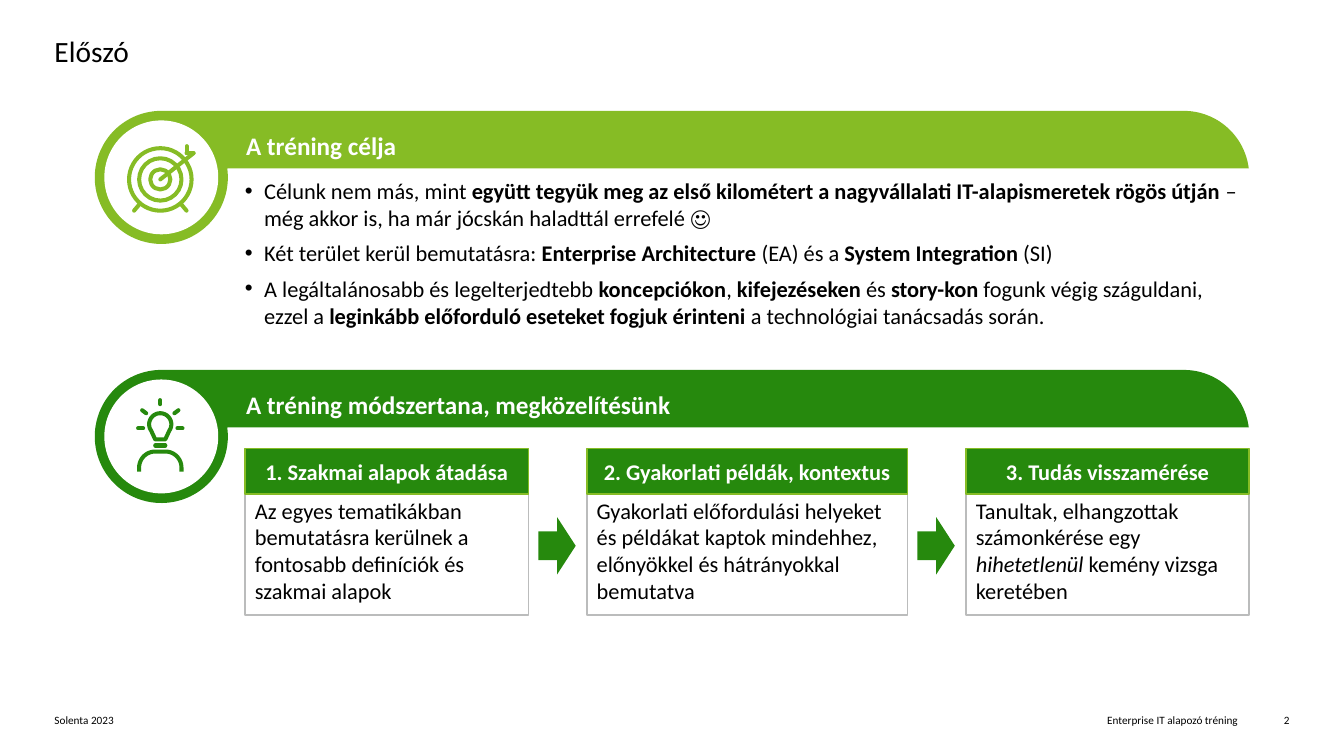
import math

from lxml import etree
from pptx import Presentation
from pptx import util as u
from pptx.dml.color import RGBColor
from pptx.enum import shapes, text
from pptx.oxml import ns

FONT = "Calibri"
BLACK = RGBColor(0x00, 0x00, 0x00)
WHITE = RGBColor(0xFF, 0xFF, 0xFF)
LIME = RGBColor(0x86, 0xBC, 0x25)
GREEN = RGBColor(0x26, 0x89, 0x0D)
GREY = RGBColor(0xBB, 0xBC, 0xBC)
STROKE = 2.9
LEFT, MIDDLE, RIGHT = text.PP_ALIGN.LEFT, text.PP_ALIGN.CENTER, text.PP_ALIGN.RIGHT
TOP, CENTER = text.MSO_ANCHOR.TOP, text.MSO_ANCHOR.MIDDLE

GOALS = [
    [("Célunk nem más, mint ", ""),
     ("együtt tegyük meg az első kilométert a nagyvállalati IT-alapismeretek rögös útján ", "b"),
     ("– még akkor is, ha már jócskán haladttál errefelé ☺", "")],
    [("Két terület kerül bemutatásra: ", ""), ("Enterprise Architecture ", "b"),
     ("(EA) és a ", ""), ("System Integration ", "b"), ("(SI)", "")],
    [("A legáltalánosabb és legelterjedtebb ", ""), ("koncepciókon", "b"), (", ", ""),
     ("kifejezéseken", "b"), (" és ", ""), ("story-kon", "b"),
     (" fogunk végig száguldani, ezzel a ", ""),
     ("leginkább előforduló eseteket fogjuk érinteni ", "b"),
     ("a technológiai tanácsadás során.", "")],
]
STEPS = [
    (2.81, "1. Szakmai alapok átadása",
     [("Az egyes tematikákban bemutatásra kerülnek a fontosabb definíciók és szakmai alapok", "")]),
    (3.18, "2. Gyakorlati példák, kontextus",
     [("Gyakorlati előfordulási helyeket és példákat kaptok mindehhez, "
       "előnyökkel és hátrányokkal bemutatva", "")]),
    (2.81, "3. Tudás visszamérése",
     [("Tanultak, elhangzottak számonkérése egy ", ""), ("hihetetlenül", "i"),
      (" kemény vizsga keretében", "")]),
]


def place(sp, *box):
    sp.left, sp.top, sp.width, sp.height = map(u.Inches, box)


def frame(sp, insets=(0, 0, 0, 0), anchor=TOP):
    tf = sp.text_frame
    tf.word_wrap = True
    tf.auto_size = text.MSO_AUTO_SIZE.NONE
    tf.vertical_anchor = anchor
    tf.margin_left, tf.margin_top, tf.margin_right, tf.margin_bottom = map(u.Inches, insets)
    return tf


def add_runs(p, runs, size, color=BLACK, align=LEFT):
    p.alignment = align
    for words, style in runs:
        r = p.add_run()
        r.text = words
        r.font.name = FONT
        r.font.size = u.Pt(size)
        r.font.color.rgb = color
        r.font.bold = style == "b"
        r.font.italic = style == "i"


def paint(sp, fill=None, line=None, width=1):
    sp.shadow.inherit = False
    if fill is None:
        sp.fill.background()
    else:
        sp.fill.solid()
        sp.fill.fore_color.rgb = fill
    if line is None:
        sp.line.fill.background()
    else:
        sp.line.color.rgb = line
        sp.line.width = u.Pt(width)


def add_preset(s, kind, box, fill=None, line=None, width=1):
    sp = s.shapes.add_shape(kind, *map(u.Inches, box))
    paint(sp, fill, line, width)
    return sp


def add_circle(s, cx, cy, radius, fill=None, line=None):
    box = (cx - radius, cy - radius, 2 * radius, 2 * radius)
    return add_preset(s, shapes.MSO_SHAPE.OVAL, box, fill, line, STROKE)


def add_outline(s, points, fill=None, line=None, close=True):
    dots = [(u.Inches(x), u.Inches(y)) for x, y in points]
    fb = s.shapes.build_freeform(*dots[0], scale=1.0)
    fb.add_line_segments(dots[1:], close=close)
    sp = fb.convert_to_shape()
    paint(sp, fill, line, STROKE)
    return sp


def add_stroke(s, color, *ends):
    c = s.shapes.add_connector(shapes.MSO_CONNECTOR.STRAIGHT, *map(u.Inches, ends))
    c.line.color.rgb = color
    c.line.width = u.Pt(STROKE)
    c.line._get_or_add_ln().set("cap", "rnd")
    etree.SubElement(c._element.spPr, ns.qn("a:effectLst"))


def arc(cx, cy, radius, start, end, steps=40):
    angles = [math.radians(start + (end - start) * i / steps) for i in range(steps + 1)]
    return [(cx + radius * math.cos(a), cy + radius * math.sin(a)) for a in angles]


def add_band(s, top, heading, color):
    points = arc(11.74, top + 0.65, 0.65, -90, -7) + [(12.39, top + 0.57), (2.25, top + 0.57)]
    points += arc(1.6, top + 0.66, 0.66, -8, 270, 100)
    sp = add_outline(s, points, color)
    tf = frame(sp, (1.5, 0, 0, 0.63), CENTER)
    add_runs(tf.paragraphs[0], [(heading, "b")], 18, WHITE)
    add_circle(s, 1.6, top + 0.66, 0.565, WHITE)


def add_target(s, cx, cy):
    for radius in (0.31, 0.21, 0.1):
        add_circle(s, cx, cy, radius, line=LIME)
    add_stroke(s, LIME, cx, cy, cx + 0.33, cy - 0.26)
    add_stroke(s, LIME, cx + 0.26, cy - 0.33, cx + 0.26, cy - 0.26)
    add_stroke(s, LIME, cx + 0.26, cy - 0.26, cx + 0.33, cy - 0.26)
    for side in (-1, 1):
        add_stroke(s, LIME, cx + side * 0.21, cy + 0.25, cx + side * 0.26, cy + 0.31)


def add_idea(s, cx, cy):
    add_outline(s, arc(cx, cy, 0.11, 145, 395) + [(cx + 0.05, cy + 0.15), (cx - 0.05, cy + 0.15)],
                line=GREEN)
    add_stroke(s, GREEN, cx - 0.05, cy + 0.21, cx + 0.05, cy + 0.21)
    add_stroke(s, GREEN, cx, cy - 0.24, cx, cy - 0.2)
    for side in (-1, 1):
        add_stroke(s, GREEN, cx + side * 0.14, cy - 0.11, cx + side * 0.18, cy - 0.14)
        add_stroke(s, GREEN, cx + side * 0.17, cy + 0.04, cx + side * 0.22, cy + 0.04)
    shoulders = arc(cx - 0.05, cy + 0.43, 0.16, 180, 270) + arc(cx + 0.05, cy + 0.43, 0.16, 270, 360)
    add_outline(s, [(cx - 0.21, cy + 0.47)] + shoulders + [(cx + 0.21, cy + 0.47)],
                line=GREEN, close=False)


def add_card(s, left, width, heading, runs):
    rect = shapes.MSO_SHAPE.RECTANGLE
    sp = add_preset(s, rect, (left, 4.82, width, 1.28), line=GREY)
    add_runs(frame(sp, [0.1] * 4, CENTER).paragraphs[0], runs, 16)
    sp = add_preset(s, rect, (left, 4.45, width, 0.45), GREEN, LIME)
    add_runs(frame(sp, [0.04] * 4, CENTER).paragraphs[0], [(heading, "b")], 16, WHITE, MIDDLE)


def add_steps(s):
    left = 2.43
    for i, (width, heading, runs) in enumerate(STEPS):
        if i:
            add_preset(s, shapes.MSO_SHAPE.RIGHT_ARROW, (left - 0.48, 5.13, 0.37, 0.57), GREEN)
        add_card(s, left, width, heading, runs)
        left += width + 0.58


def fill_goals(body):
    place(body, 2.43, 1.76, 9.96, 1.78)
    tf = frame(body)
    for i, runs in enumerate(GOALS):
        p = tf.add_paragraph() if i else tf.paragraphs[0]
        add_runs(p, runs, 16)
        p.space_before = u.Pt(6)
        pPr = p._p.get_or_add_pPr()
        pPr.set("marL", str(u.Inches(0.19)))
        pPr.set("indent", str(-u.Inches(0.19)))
        etree.SubElement(pPr, ns.qn("a:buChar")).set("char", "•")


def add_footer(s, left, width, words, align):
    sp = s.shapes.add_textbox(*map(u.Inches, (left, 7.08, width, 0.13)))
    add_runs(frame(sp).paragraphs[0], [(words, "")], 8, align=align)


def main():
    prs = Presentation()
    prs.slide_width, prs.slide_height = u.Inches(13.33), u.Inches(7.5)
    s = prs.slides.add_slide(prs.slide_layouts[1])
    title, body = s.placeholders
    place(title, 0.54, 0.33, 12.25, 0.38)
    add_runs(frame(title).paragraphs[0], [("Előszó", "")], 21)
    add_band(s, 1.1, "A tréning célja", LIME)
    add_target(s, 1.59, 1.78)
    fill_goals(body)
    add_band(s, 3.67, "A tréning módszertana, megközelítésünk", GREEN)
    add_idea(s, 1.59, 4.21)
    add_steps(s)
    add_footer(s, 0.54, 5.35, "Solenta 2023", LEFT)
    add_footer(s, 6.93, 5.35, "Enterprise IT alapozó tréning", RIGHT)
    add_footer(s, 12.45, 0.34, "2", RIGHT)
    prs.save("out.pptx")


if __name__ == "__main__":
    main()
